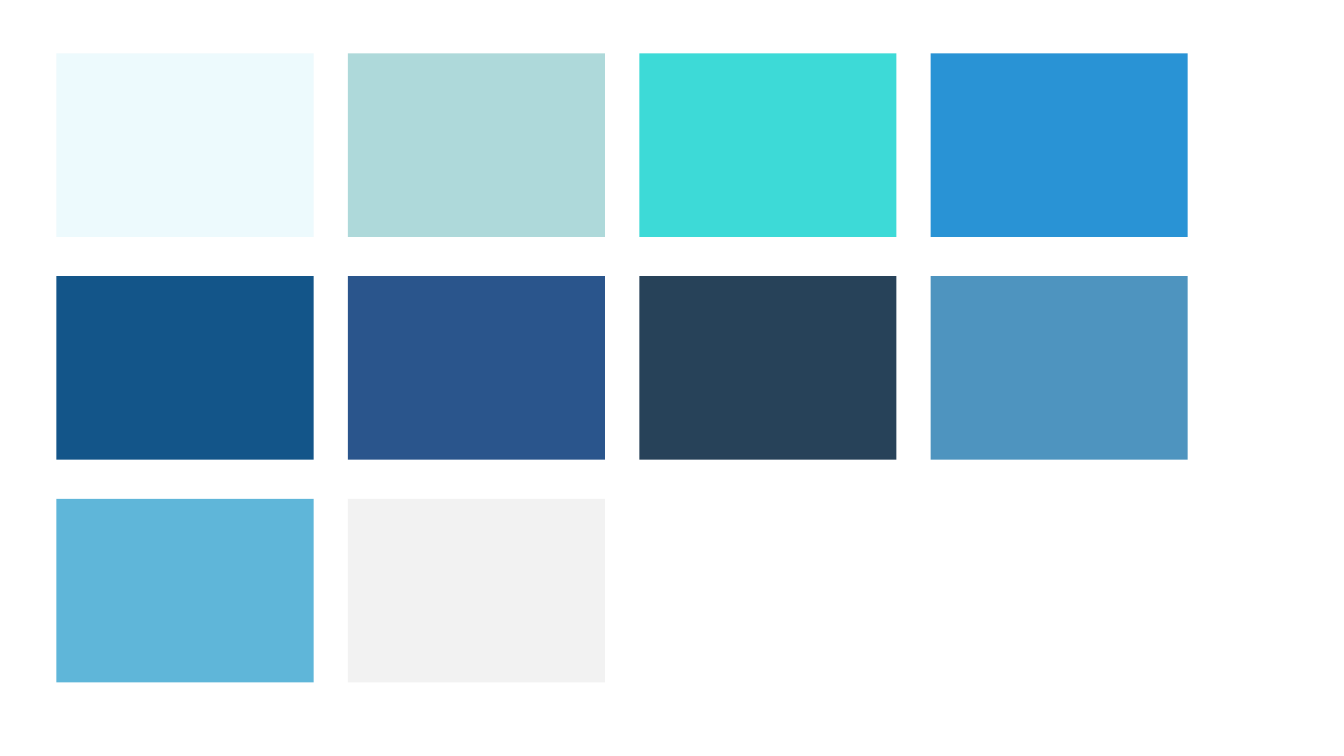
"""Build a slide with a grid of palette swatches."""
from pptx import Presentation
from pptx.dml.color import RGBColor
from pptx.enum.shapes import MSO_SHAPE
from pptx.util import Inches

ICE = RGBColor(0xED, 0xFA, 0xFD)
SAGE = RGBColor(0xAE, 0xD9, 0xDA)
AQUA = RGBColor(0x3D, 0xDA, 0xD7)
AZURE = RGBColor(0x29, 0x93, 0xD5)
NAVY = RGBColor(0x13, 0x55, 0x89)
ROYAL = RGBColor(0x2A, 0x55, 0x8C)
SLATE = RGBColor(0x27, 0x42, 0x59)
STEEL = RGBColor(0x4E, 0x94, 0xBF)
SKY = RGBColor(0x5F, 0xB6, 0xD9)
PEARL = RGBColor(0xF2, 0xF2, 0xF2)
WHITE = RGBColor(0xFF, 0xFF, 0xFF)

PALETTE = (ICE, SAGE, AQUA, AZURE, NAVY, ROYAL, SLATE, STEEL, SKY, PEARL)
COLUMNS = 4


class Board:
    """Hold the swatch grid and the current slide."""

    left, top = 0.56, 0.53
    width, height = 2.55, 1.82
    step_x, step_y = 2.89, 2.21

    def __init__(self, slide):
        self.slide = slide

    def backdrop(self, color):
        fill = self.slide.background.fill
        fill.solid()
        fill.fore_color.rgb = color

    def swatch(self, column, row, color):
        x = self.left + column * self.step_x
        y = self.top + row * self.step_y
        box = (Inches(size) for size in (x, y, self.width, self.height))
        shape = self.slide.shapes.add_shape(MSO_SHAPE.RECTANGLE, *box)
        shape.shadow.inherit = False
        shape.fill.solid()
        shape.fill.fore_color.rgb = color
        shape.line.fill.background()


def main():
    deck = Presentation()
    for name, size in {"slide_width": 13.33, "slide_height": 7.5}.items():
        setattr(deck, name, Inches(size))
    board = Board(deck.slides.add_slide(deck.slide_layouts[6]))
    board.backdrop(WHITE)
    for index, color in enumerate(PALETTE):
        row, column = divmod(index, COLUMNS)
        board.swatch(column, row, color)
    deck.save("out.pptx")


if __name__ == "__main__":
    main()
